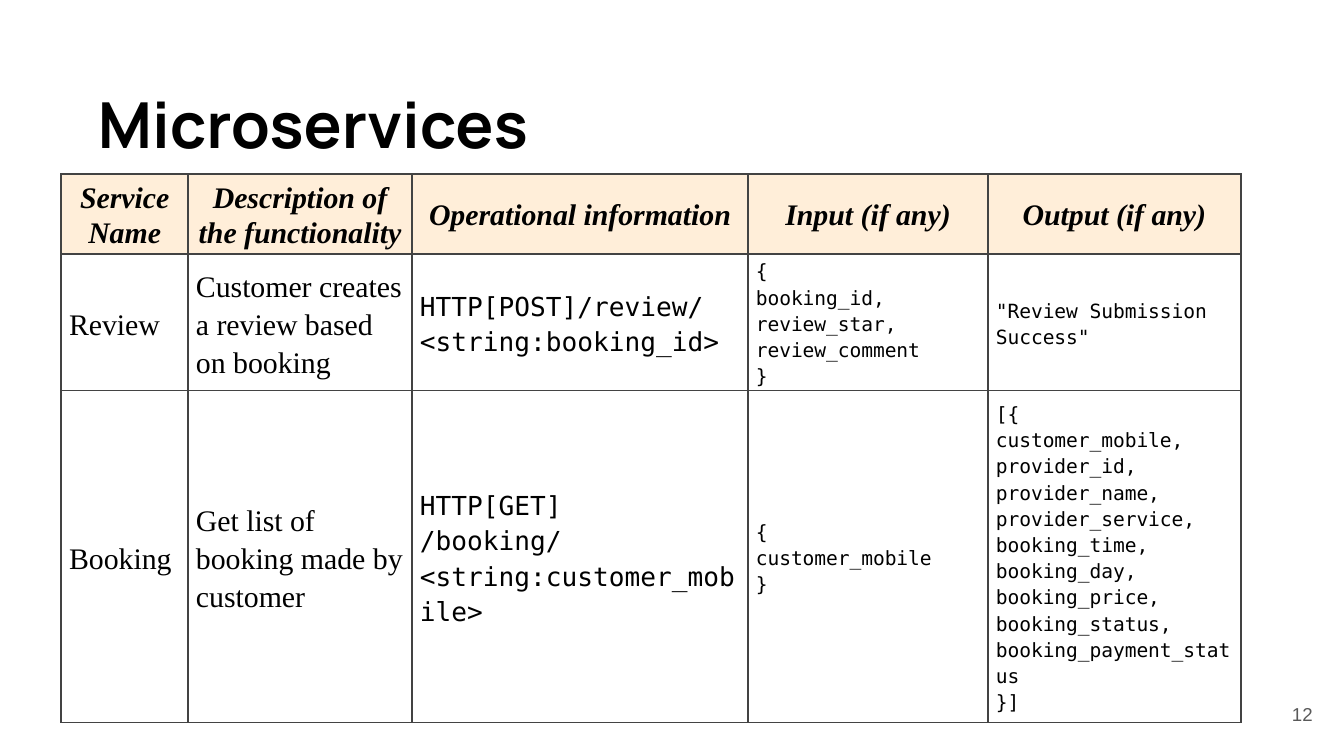
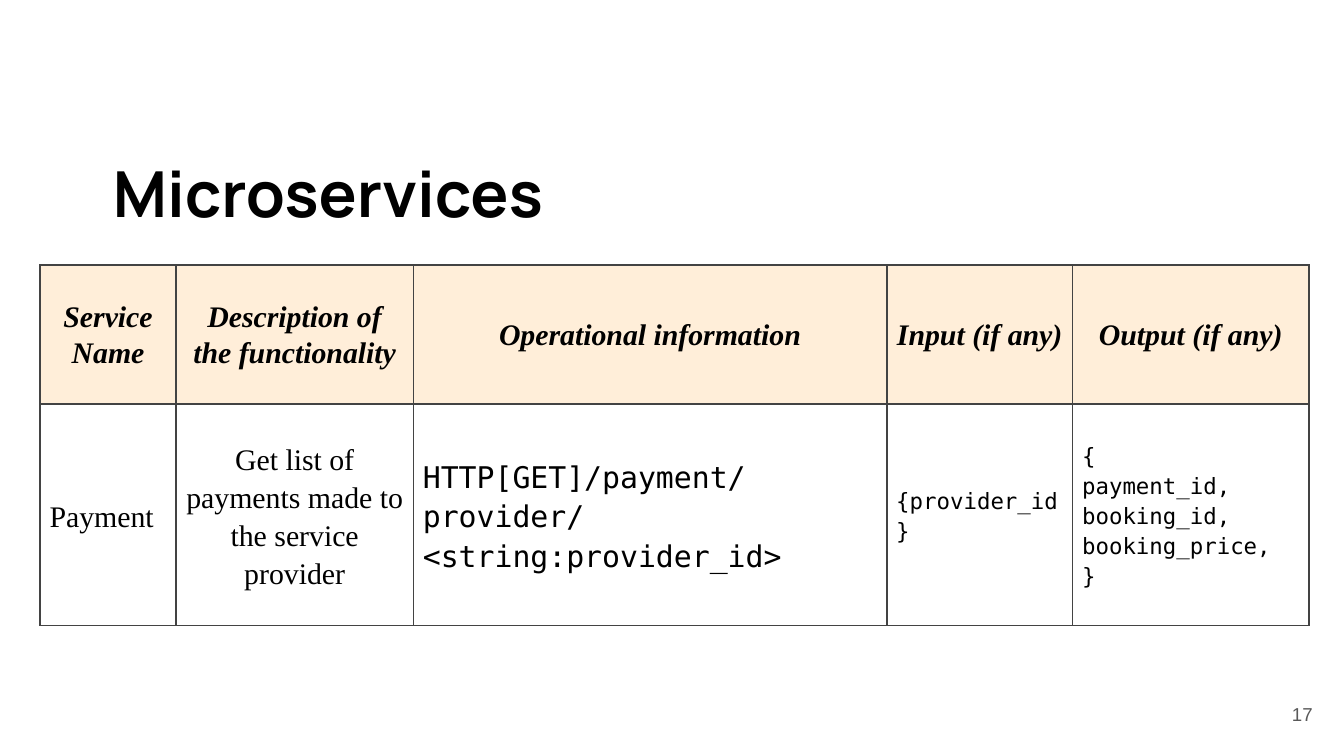
from lxml import etree
from pptx import Presentation
from pptx import util as u
from pptx.dml import color
from pptx.enum import text as t
from pptx.oxml import ns

BLACK, GREY, BORDER, HEADER_FILL = "000000", "595959", "434343", "FFEED9"
SERIF, MONO = "Times New Roman", "DejaVu Sans Mono"
LEFT, CENTER, RIGHT = t.PP_ALIGN.LEFT, t.PP_ALIGN.CENTER, t.PP_ALIGN.RIGHT
HEADINGS = ["Service Name", "Description of the functionality",
            "Operational information", "Input (if any)", "Output (if any)"]


def rgb(value):
    return color.RGBColor.from_string(value)


def write(frame, lines, font, size, ink=BLACK, align=LEFT, bold=False,
          italic=False, spacing=None, after=None):
    """Put one paragraph per line into a text frame."""
    frame.word_wrap = True
    for index, line in enumerate(lines):
        paragraph = frame.paragraphs[0] if index == 0 else frame.add_paragraph()
        paragraph.alignment = align
        if spacing:
            paragraph.line_spacing = spacing
        if after:
            paragraph.space_after = u.Pt(after)
        run = paragraph.add_run()
        run.text = line
        run.font.name, run.font.size = font, u.Pt(size)
        run.font.bold, run.font.italic = bold, italic
        run.font.color.rgb = rgb(ink)


def add_text(slide, box, line, anchor=t.MSO_ANCHOR.TOP, **style):
    frame = slide.shapes.add_textbox(*map(u.Pt, box)).text_frame
    frame.margin_left = frame.margin_right = u.Pt(7.2)
    frame.margin_top = frame.margin_bottom = u.Pt(7.2)
    frame.vertical_anchor = anchor
    write(frame, [line], **style)


def add_title(slide, box):
    add_text(slide, box, "Microservices", font="Manrope", size=34, bold=True)


def add_page_number(slide, number):
    add_text(slide, (667.1, 367, 43.2, 31), str(number), t.MSO_ANCHOR.MIDDLE,
             font="Arial", size=10, ink=GREY, align=RIGHT)


def outline(cell):
    """Draw a 1 pt border on all four sides of a cell."""
    properties = cell._tc.get_or_add_tcPr()
    for side in ("lnL", "lnR", "lnT", "lnB"):
        line = etree.SubElement(properties, ns.qn(f"a:{side}"), w=str(u.Pt(1)))
        fill = etree.SubElement(line, ns.qn("a:solidFill"))
        etree.SubElement(fill, ns.qn("a:srgbClr"), val=BORDER)


def add_services(slide, left, top, widths, heights, inset, inset_top,
                 services, columns):
    """Table of services; columns holds (font, size, alignment) of the body."""
    grid = slide.shapes.add_table(
        len(heights), len(widths),
        *map(u.Pt, (left, top, sum(widths), sum(heights)))).table
    grid.first_row = grid.horz_banding = False
    for column, width in zip(grid.columns, widths):
        column.width = u.Pt(width)
    for row, height in zip(grid.rows, heights):
        row.height = u.Pt(height)

    header = [[heading] for heading in HEADINGS]
    for r, entries in enumerate([header, *services]):
        for c, lines in enumerate(entries):
            cell = grid.cell(r, c)
            outline(cell)
            cell.vertical_anchor = t.MSO_ANCHOR.MIDDLE
            cell.margin_left = cell.margin_right = u.Pt(inset)
            cell.margin_top, cell.margin_bottom = u.Pt(inset_top), 0
            if r == 0:
                cell.fill.solid()
                cell.fill.fore_color.rgb = rgb(HEADER_FILL)
                write(cell.text_frame, lines, SERIF, 16, align=CENTER,
                      bold=True, italic=True, spacing=1.07, after=8)
            else:
                cell.fill.background()
                font, size, align = columns[c]
                write(cell.text_frame, lines, font, size, align=align,
                      spacing=1.15)


def services_slide(deck, number, title_box, **services):
    slide = deck.slides.add_slide(deck.slide_layouts[6])
    add_page_number(slide, number)
    add_title(slide, title_box)
    add_services(slide, **services)


def main():
    deck = Presentation()
    deck.slide_width, deck.slide_height = u.Pt(720), u.Pt(405)

    # Review and booking services
    services_slide(
        deck, 12, (45.4, 38.2, 606, 66),
        left=32.8, top=93.2, widths=[68, 120, 180, 128.6, 135.4],
        heights=[43, 69, 178], inset=4.2, inset_top=0.7,
        columns=[(SERIF, 16, LEFT), (SERIF, 16, LEFT), (MONO, 14, LEFT),
                 (MONO, 10.5, LEFT), (MONO, 10.5, LEFT)],
        services=[
            [["Review"],
             ["Customer creates a review based on booking"],
             ["HTTP[POST]/review/", "<string:booking_id>"],
             ["{", "booking_id,", "review_star, review_comment", "}"],
             ['"Review Submission Success"']],
            [["Booking"],
             ["Get list of booking made by customer"],
             ["HTTP[GET]", "/booking/", "<string:customer_mobile>"],
             ["{", "customer_mobile", "}"],
             ["[{", "customer_mobile,", "provider_id,", "provider_name,",
              "provider_service,", "booking_time,", "booking_day,",
              "booking_price,", "booking_status,", "booking_payment_status",
              "}]"]],
        ])

    # Payment service
    services_slide(
        deck, 17, (53.4, 75.6, 602, 66),
        left=21.5, top=142, widths=[72.8, 127.2, 253.6, 99.6, 126.6],
        heights=[74.4, 118.8], inset=5.1, inset_top=0,
        columns=[(SERIF, 16, LEFT), (SERIF, 16, CENTER), (MONO, 16, LEFT),
                 (MONO, 12, LEFT), (MONO, 12, LEFT)],
        services=[
            [["Payment"],
             ["Get list of payments made to the service provider"],
             ["HTTP[GET]/payment/provider/", "<string:provider_id>"],
             ["{provider_id}"],
             ["{", "payment_id,", "booking_id,", "booking_price,", "}"]],
        ])

    deck.save("out.pptx")


if __name__ == "__main__":
    main()
